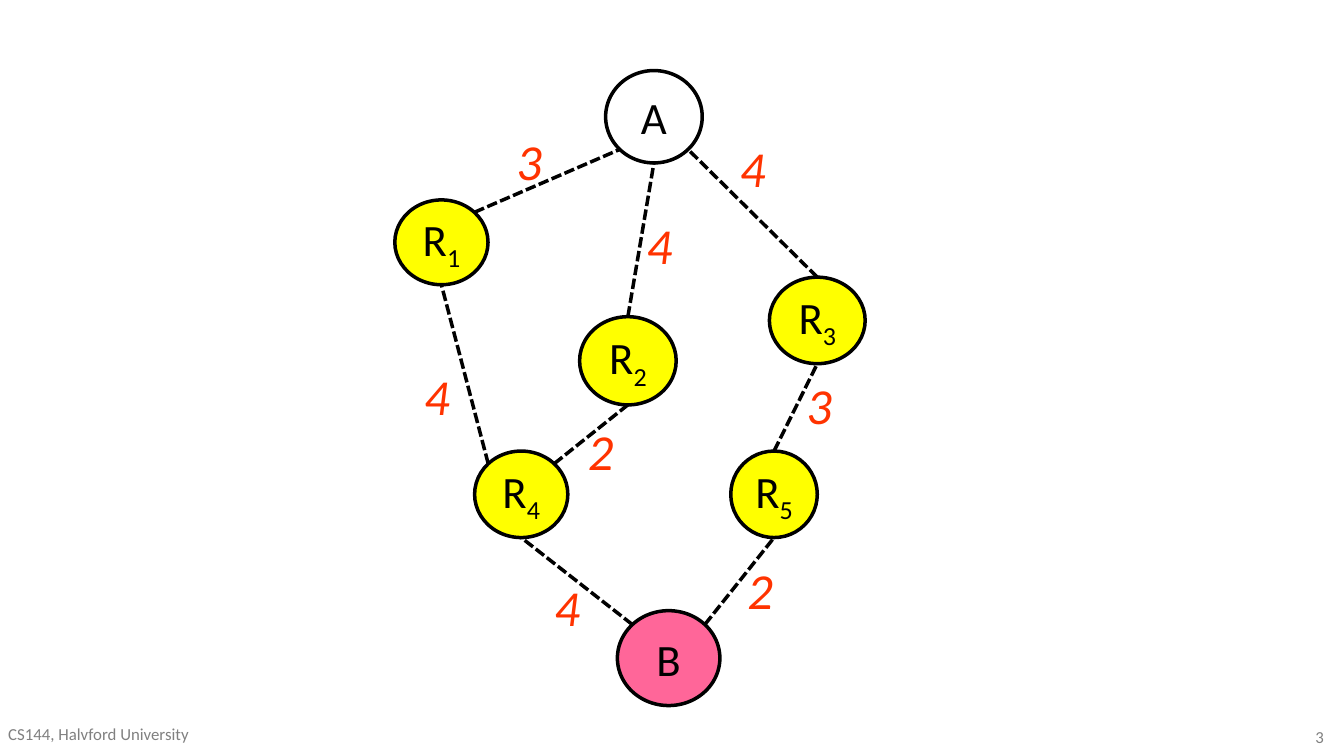
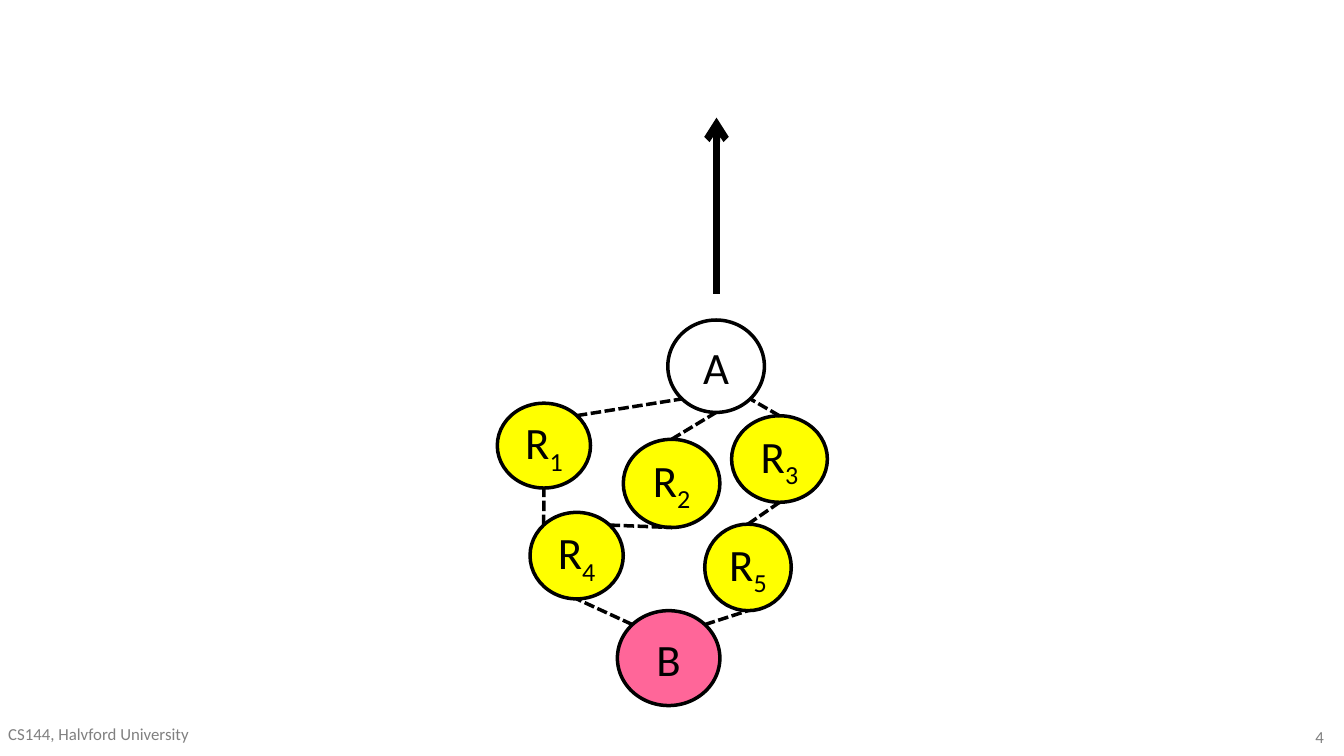
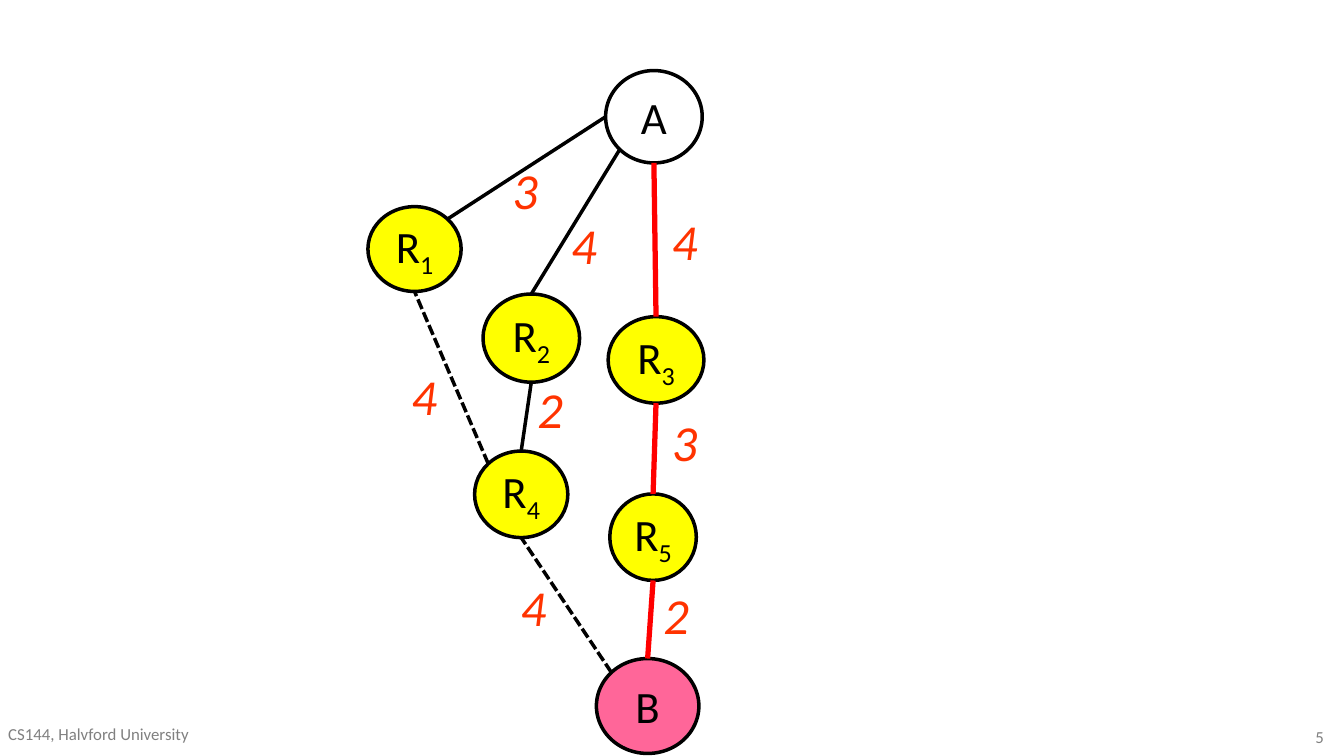
from math import cos, radians, sin

from pptx import Presentation
from pptx.dml.color import RGBColor
from pptx.enum.dml import MSO_LINE
from pptx.enum.shapes import MSO_CONNECTOR, MSO_SHAPE
from pptx.enum.text import MSO_ANCHOR, MSO_AUTO_SIZE, PP_ALIGN
from pptx.oxml.ns import qn
from pptx.util import Inches, Pt
from lxml.etree import SubElement

FONT = "Calibri"
BLACK, GREY, RED, ORANGE = "000000", "808080", "FF0000", "FF3300"
WHITE, YELLOW, PINK = "FFFFFF", "FFFF00", "FF6699"
FOOTER = "CS144, Halvford University"
FIRST_NUMBER = 3

# name: (letter, subscript, fill, width, height)
NODES = {
    "B": ("B", "", PINK, 1.22, 1.13),
    "R5": ("R", "5", YELLOW, 1.03, 1.03),
    "R4": ("R", "4", YELLOW, 1.11, 1.03),
    "R1": ("R", "1", YELLOW, 1.11, 1.01),
    "A": ("A", "", WHITE, 1.15, 1.1),
    "R2": ("R", "2", YELLOW, 1.15, 1.05),
    "R3": ("R", "3", YELLOW, 1.14, 1.03),
}

# (from, to, cost, width of the cost label)
LINKS = [
    ("R1", "A", "3", 0.65),
    ("R2", "A", "4", 0.51),
    ("R3", "A", "4", 0.51),
    ("R4", "R1", "4", 0.65),
    ("R4", "R2", "2", 0.65),
    ("R5", "R3", "3", 0.65),
    ("B", "R5", "2", 0.51),
    ("B", "R4", "4", 0.65),
]

# Where a link touches a node, as degrees clockwise from the right
ANGLES = {"right": 0, "bottom right": 45, "bottom": 90, "bottom left": 135,
          "left": 180, "top left": 225, "top": 270, "top right": 315}

# Link ends and line styles, in the order of LINKS
HANGING_ENDS = [
    ("top right", "bottom left"), ("top", "bottom"), ("top", "bottom right"),
    ("top left", "bottom"), ("top right", "bottom"), ("top", "bottom"),
    ("top right", "bottom"), ("top left", "bottom"),
]
PULLED_ENDS = [
    ("top right", "left"), ("top", "bottom left"), ("top", "bottom"),
    ("top left", "bottom"), ("top", "bottom"), ("top", "bottom"),
    ("top", "bottom"), ("top left", "bottom"),
]
SLACK = {"color": BLACK, "width": 3, "dash": MSO_LINE.SQUARE_DOT}
TAUT = {"color": BLACK, "width": 3}
SHORTEST = {"color": RED, "width": 4.5}

SLIDES = [
    {
        "nodes": {"A": (7.21, 0.84), "R1": (4.7, 2.38), "R2": (6.9, 3.77),
                  "R3": (9.16, 3.3), "R4": (5.65, 5.37), "R5": (8.7, 5.37),
                  "B": (7.35, 7.27)},
        "ends": HANGING_ENDS,
        "styles": [SLACK] * 8,
        "costs": [(6.05, 1.5), (7.6, 2.5), (8.71, 1.58), (4.95, 4.3),
                  (6.9, 4.95), (9.5, 4.4), (8.8, 6.61), (6.5, 6.81)],
    },
    {
        "nodes": {"A": (7.95, 3.81), "R1": (5.92, 4.8), "R2": (7.42, 5.23),
                  "R3": (8.71, 4.95), "R4": (6.31, 6.1), "R5": (8.39, 6.24),
                  "B": (7.35, 7.27)},
        "ends": HANGING_ENDS,
        "styles": [SLACK] * 8,
        "pull": ((8.53, 3.5), (8.53, 1.4)),
    },
    {
        "nodes": {"A": (7.21, 0.84), "R1": (4.38, 2.46), "R2": (5.75, 3.5),
                  "R3": (7.24, 3.77), "R4": (5.65, 5.37), "R5": (7.26, 5.88),
                  "B": (7.1, 7.84)},
        "ends": PULLED_ENDS,
        "styles": [TAUT, TAUT, SHORTEST, SLACK, TAUT, SHORTEST, SHORTEST, SLACK],
        "costs": [(6, 1.85), (6.7, 2.5), (7.9, 2.45), (4.8, 4.3),
                  (6.3, 4.45), (7.9, 4.85), (7.8, 6.9), (6.1, 6.81)],
    },
]


def rgb(color):
    return RGBColor.from_string(color)


def add_run(paragraph, text, size, color, italic=None):
    run = paragraph.add_run()
    run.text = text
    run.font.name = FONT
    run.font.size = Pt(size)
    run.font.color.rgb = rgb(color)
    run.font.italic = italic
    return run


def add_text(slide, box, text, size, color, align=PP_ALIGN.LEFT, italic=None, wrap=True):
    frame = slide.shapes.add_textbox(*map(Inches, box)).text_frame
    frame.word_wrap = wrap
    if not wrap:
        frame.auto_size = MSO_AUTO_SIZE.SHAPE_TO_FIT_TEXT
    paragraph = frame.paragraphs[0]
    paragraph.alignment = align
    add_run(paragraph, text, size, color, italic)


def add_node(slide, name, left, top):
    letter, subscript, fill, width, height = NODES[name]
    node = slide.shapes.add_shape(
        MSO_SHAPE.OVAL, *map(Inches, (left, top, width, height)))
    node.shadow.inherit = False
    node.fill.solid()
    node.fill.fore_color.rgb = rgb(fill)
    node.line.color.rgb = rgb(BLACK)
    node.line.width = Pt(3)
    frame = node.text_frame
    frame.word_wrap = False
    frame.vertical_anchor = MSO_ANCHOR.MIDDLE
    paragraph = frame.paragraphs[0]
    paragraph.alignment = PP_ALIGN.CENTER
    add_run(paragraph, letter, 38.4, BLACK)
    if subscript:
        run = add_run(paragraph, subscript, 38.4, BLACK)
        run._r.get_or_add_rPr().set("baseline", "-25000")


def rim_point(positions, name, side):
    """Return the point on a node's outline at the named side."""
    left, top = positions[name]
    width, height = NODES[name][3:]
    angle = radians(ANGLES[side])
    return (left + width / 2 * (1 + cos(angle)),
            top + height / 2 * (1 + sin(angle)))


def add_line(slide, start, end, color, width, dash=None, arrow=False):
    connector = slide.shapes.add_connector(
        MSO_CONNECTOR.STRAIGHT, *map(Inches, (*start, *end)))
    connector.line.color.rgb = rgb(color)
    connector.line.width = Pt(width)
    if dash:
        connector.line.dash_style = dash
    if arrow:
        SubElement(connector.line._get_or_add_ln(), qn("a:tailEnd"), type="arrow")
    SubElement(connector.element.spPr, qn("a:effectLst"))


def add_network(slide, content):
    positions = content["nodes"]
    for name in NODES:
        add_node(slide, name, *positions[name])
    for (start, end, _, _), sides, style in zip(LINKS, content["ends"], content["styles"]):
        add_line(slide, rim_point(positions, start, sides[0]),
                 rim_point(positions, end, sides[1]), **style)
    for (_, _, cost, width), corner in zip(LINKS, content.get("costs", [])):
        add_text(slide, (*corner, width, 0.83), cost, 43.2, ORANGE,
                 italic=True, wrap=False)
    if "pull" in content:
        add_line(slide, *content["pull"], BLACK, 6, arrow=True)


def add_footer(slide, number):
    add_text(slide, (0, 8.57, 5.07, 0.42), FOOTER, 14.4, GREY)
    add_text(slide, (12.53, 8.6, 3.33, 0.4), str(number), 14.4, GREY, PP_ALIGN.RIGHT)


def main():
    presentation = Presentation()
    presentation.slide_width = Inches(16)
    presentation.slide_height = Inches(9)
    blank = presentation.slide_layouts[6]
    for number, content in enumerate(SLIDES, FIRST_NUMBER):
        slide = presentation.slides.add_slide(blank)
        add_network(slide, content)
        add_footer(slide, number)
    presentation.save("out.pptx")


if __name__ == "__main__":
    main()
